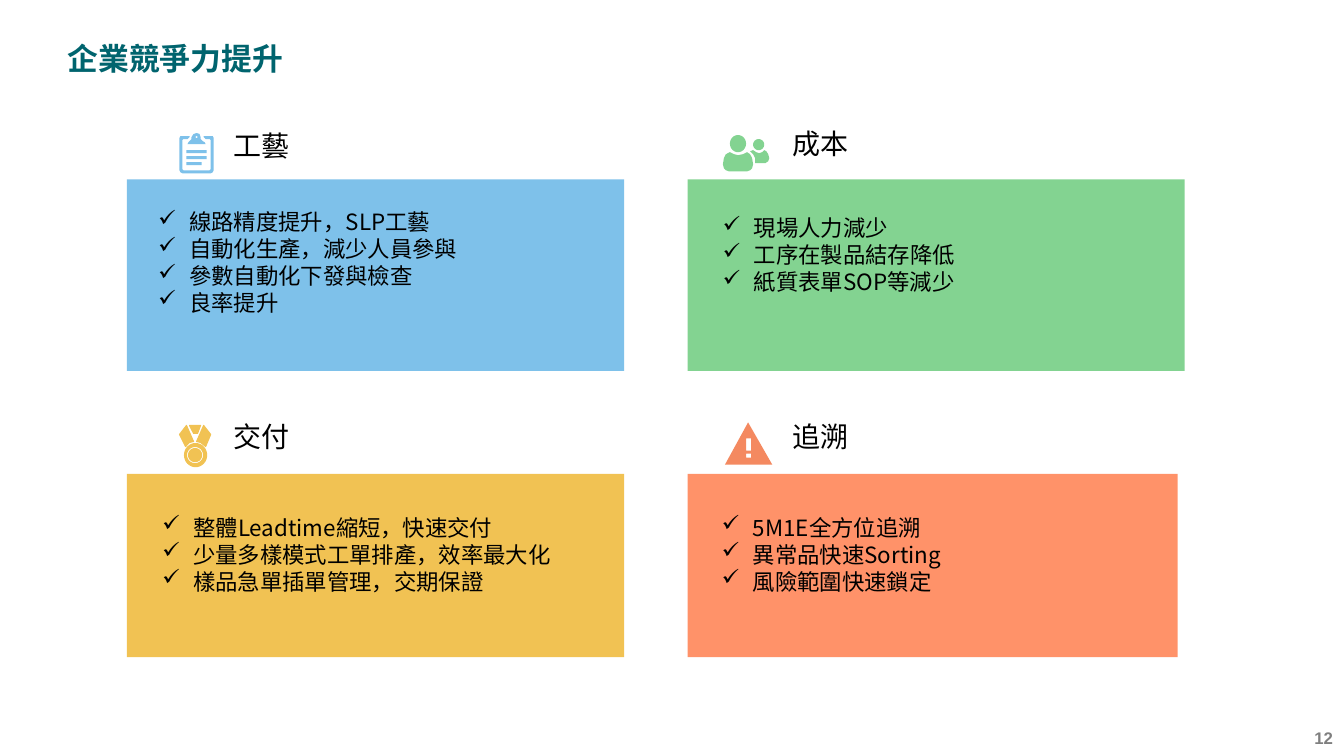
from dataclasses import dataclass
from math import cos, pi, sin

from lxml.etree import SubElement
from pptx import Presentation
from pptx.dml.color import RGBColor
from pptx.enum.shapes import MSO_SHAPE as SHAPE
from pptx.enum.text import MSO_ANCHOR, MSO_AUTO_SIZE, PP_ALIGN
from pptx.oxml.ns import qn
from pptx.util import Inches, Pt


@dataclass(frozen=True)
class Theme:
    blue: str = "7EC1EA"
    green: str = "83D391"
    gold: str = "F1C253"
    coral: str = "FF9269"
    alert: str = "F48960"
    teal: str = "00646E"
    gray: str = "7F7F7F"
    black: str = "000000"
    latin: str = "Arial"
    cjk: str = "Noto Sans CJK SC"
    bullet: str = "Wingdings"
    title: int = 22
    heading: int = 20
    body: int = 16
    number: int = 12


T = Theme()

prs = Presentation()
prs.slide_width, prs.slide_height = Inches(13.33), Inches(7.5)
s = prs.slides.add_slide(prs.slide_layouts[5])


def add_run(p, text, size, color, font=T.cjk, bold=False):
    r = p.add_run()
    r.text = text
    r.font.size, r.font.bold, r.font.name = Pt(size), bold, font
    r.font.color.rgb = RGBColor.from_string(color)
    SubElement(r.font._element, qn("a:ea")).set("typeface", T.cjk)


def paint(sp, fill, line=None):
    """Fill and outline a shape; without a line colour it has no outline."""
    sp.shadow.inherit = False
    sp.fill.solid()
    sp.fill.fore_color.rgb = RGBColor.from_string(fill)
    if line:
        sp.line.color.rgb = RGBColor.from_string(line)
        sp.line.width = Pt(0.75)
    else:
        sp.line.fill.background()


# Title
title = s.shapes.title
title.left, title.top = Inches(-0.01), Inches(-0.08)
title.width, title.height = Inches(13.33), Inches(1.74)
tf = title.text_frame
tf.word_wrap, tf.auto_size = True, MSO_AUTO_SIZE.NONE
tf.vertical_anchor = MSO_ANCHOR.TOP
tf.margin_left, tf.margin_top = Inches(0.68), Inches(0.47)
tf.margin_right, tf.margin_bottom = Inches(2.32), Inches(0.26)
tf.paragraphs[0].alignment = PP_ALIGN.LEFT
add_run(tf.paragraphs[0], "企業競爭力提升", T.title, T.teal, T.latin, True)

# Four panels: color, panel box, heading and its place, list place, list items
panels = [
    (T.blue, (1.26, 1.78, 4.93, 1.9), "工藝", (2.22, 1.23), (1.47, 2.02),
     ["線路精度提升，SLP工藝", "自動化生產，減少人員參與",
      "參數自動化下發與檢查", "良率提升"]),
    (T.green, (6.82, 1.78, 4.93, 1.9), "成本", (7.76, 1.21), (7.07, 2.08),
     ["現場人力減少", "工序在製品結存降低", "紙質表單SOP等減少"]),
    (T.gold, (1.26, 4.7, 4.93, 1.82), "交付", (2.22, 4.11), (1.51, 5.05),
     ["整體Leadtime縮短，快速交付", "少量多樣模式工單排產，效率最大化",
      "樣品急單插單管理，交期保證"]),
    (T.coral, (6.82, 4.7, 4.86, 1.82), "追溯", (7.76, 4.11), (7.06, 5.05),
     ["5M1E全方位追溯", "異常品快速Sorting", "風險範圍快速鎖定"]),
]
for color, box, heading, heading_at, list_at, items in panels:
    paint(s.shapes.add_shape(SHAPE.RECTANGLE, *map(Inches, box)), color)

    tb = s.shapes.add_textbox(*map(Inches, (*heading_at, 1.79, 0.44)))
    tb.text_frame.word_wrap = True
    add_run(tb.text_frame.paragraphs[0], heading, T.heading, T.black)

    tb = s.shapes.add_textbox(*map(Inches, (*list_at, 4.44, 0.1 + 0.27 * len(items))))
    tf = tb.text_frame
    tf.word_wrap = True
    for i, item in enumerate(items):
        p = tf.add_paragraph() if i else tf.paragraphs[0]
        pPr = p._p.get_or_add_pPr()
        pPr.set("marL", str(Inches(0.31)))
        pPr.set("indent", str(Inches(-0.31)))
        SubElement(SubElement(pPr, qn("a:buClr")), qn("a:srgbClr")).set("val", T.black)
        buFont = SubElement(pPr, qn("a:buFont"))
        buFont.set("typeface", T.bullet)
        buFont.set("charset", "2")
        SubElement(pPr, qn("a:buChar")).set("char", "ü")  # check mark in Wingdings
        add_run(p, item, T.body, T.black)

# Icon outlines: a tuple is an oval (left, top, width, height), a list a polygon
clipboard = [
    [(1.88, 1.35), (1.81, 1.35), (1.79, 1.35), (1.78, 1.37), (1.78, 1.69),
     (1.79, 1.71), (1.81, 1.72), (2.09, 1.72), (2.11, 1.71), (2.12, 1.69),
     (2.12, 1.37), (2.11, 1.35), (2.02, 1.35), (2.02, 1.36), (2.04, 1.38),
     (2.08, 1.38), (2.09, 1.39), (2.09, 1.68), (2.08, 1.69), (1.82, 1.69),
     (1.81, 1.68), (1.81, 1.39), (1.82, 1.38), (1.86, 1.38), (1.88, 1.36)],
    [(1.86, 1.43), (2.04, 1.43), (2.03, 1.41), (2.01, 1.4), (1.99, 1.38),
     (1.99, 1.36), (1.98, 1.33), (1.95, 1.32), (1.92, 1.33), (1.9, 1.36),
     (1.9, 1.38), (1.88, 1.4), (1.87, 1.41)],
    (1.94, 1.35, 0.02, 0.02),
] + [[(1.85, y), (right, y), (right, y + 0.03), (1.85, y + 0.03)]
     for y, right in ((1.49, 2.05), (1.55, 2.05), (1.61, 2))]
people = [
    [(7.23, 1.7), (7.2, 1.69), (7.18, 1.67), (7.17, 1.63), (7.18, 1.57),
     (7.2, 1.53), (7.24, 1.51), (7.28, 1.53), (7.32, 1.54), (7.37, 1.53),
     (7.41, 1.51), (7.44, 1.53), (7.46, 1.57), (7.47, 1.63), (7.46, 1.67),
     (7.44, 1.69), (7.41, 1.7)],
    (7.24, 1.34, 0.16, 0.17),
    [(7.59, 1.62), (7.62, 1.6), (7.63, 1.57), (7.62, 1.53), (7.6, 1.5),
     (7.58, 1.49), (7.56, 1.51), (7.53, 1.52), (7.5, 1.51), (7.47, 1.49),
     (7.44, 1.5), (7.47, 1.53), (7.49, 1.57), (7.49, 1.62)],
    (7.47, 1.38, 0.11, 0.11),
]
warning = [
    [(7.19, 4.61), (7.42, 4.19), (7.66, 4.61)],
    [(7.4, 4.35), (7.45, 4.35), (7.45, 4.47), (7.4, 4.47)],
    [(7.4, 4.5), (7.45, 4.5), (7.45, 4.54), (7.4, 4.54)],
]
medal = [
    [(1.85, 4.22), (1.92, 4.38), (1.88, 4.39), (1.84, 4.43), (1.78, 4.31)],
    [(1.88, 4.22), (1.92, 4.3), (1.96, 4.3), (1.99, 4.22)],
    [(2.02, 4.22), (1.95, 4.38), (1.99, 4.39), (2.04, 4.43), (2.09, 4.31)],
    (1.83, 4.4, 0.22, 0.23),
    (1.85, 4.43, 0.17, 0.17),
    (1.87, 4.45, 0.13, 0.13),
]
icons = [(clipboard, T.blue, None), (people, T.green, None),
         (warning, T.alert, None), (medal, T.gold, T.gold)]
STEPS = 32
for outlines, fill, line in icons:
    fb = None
    for outline in outlines:
        if isinstance(outline, tuple):
            x, y, w, h = outline
            turns = [2 * pi * k / STEPS for k in range(STEPS)]
            outline = [(x + w / 2 * (1 + cos(a)), y + h / 2 * (1 + sin(a)))
                       for a in turns]
        start, *rest = [(Inches(px), Inches(py)) for px, py in outline]
        if fb:
            fb.move_to(*start)
        else:
            fb = s.shapes.build_freeform(*start)
        fb.add_line_segments(rest, close=True)
    paint(fb.convert_to_shape(), fill, line)

# Page number
tb = s.shapes.add_textbox(*map(Inches, (12.71, 7.17, 0.61, 0.33)))
tb.text_frame.word_wrap = True
p = tb.text_frame.paragraphs[0]
p.alignment = PP_ALIGN.RIGHT
add_run(p, "12", T.number, T.gray, T.latin, True)

prs.save("out.pptx")
